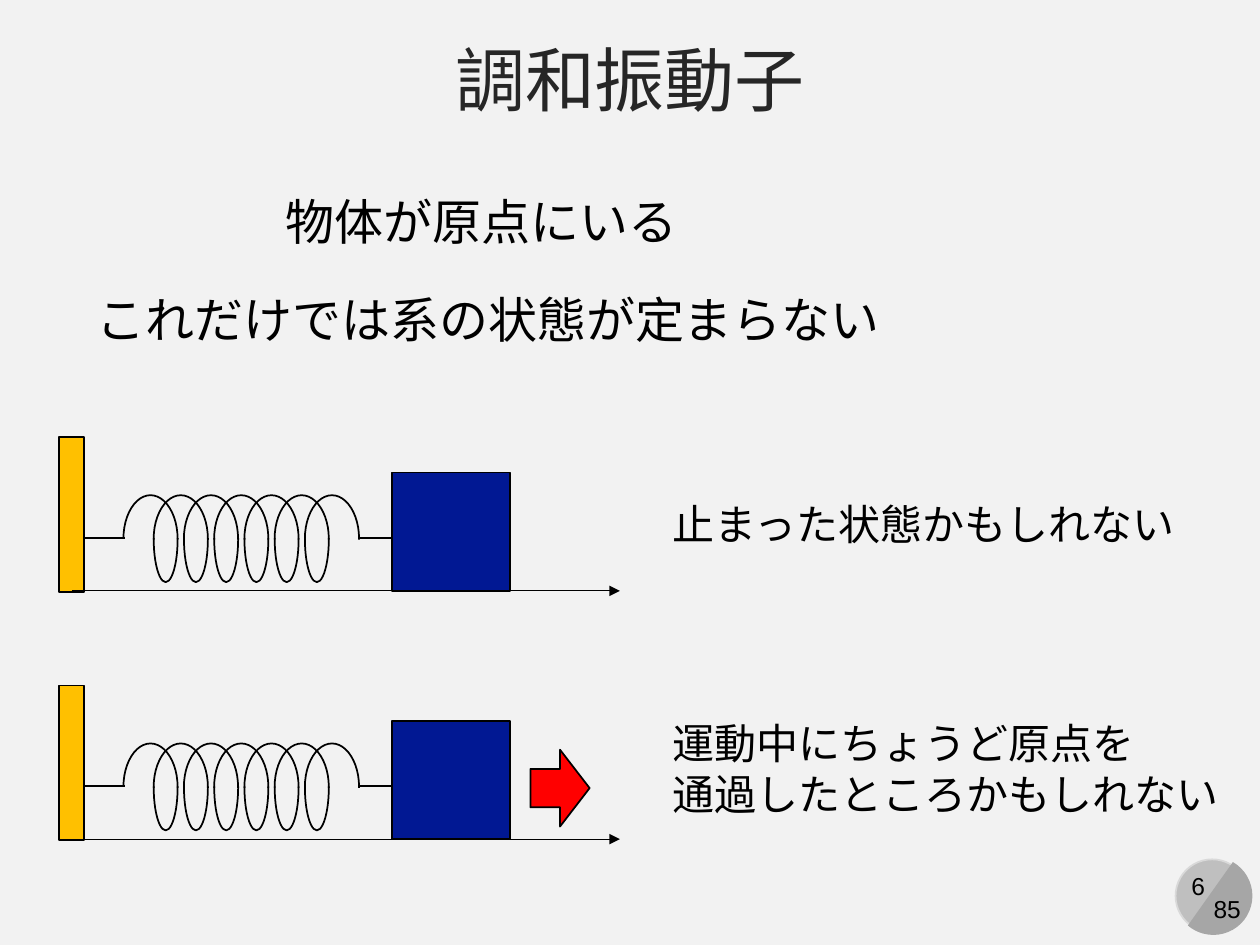
from lxml.etree import SubElement
from pptx import Presentation
from pptx.dml.color import RGBColor
from pptx.enum.shapes import MSO_CONNECTOR as Connector, MSO_SHAPE as Shape
from pptx.enum.text import MSO_ANCHOR as Anchor, PP_ALIGN as Align
from pptx.oxml.ns import qn
from pptx.util import Inches, Pt

COLORS = {
    "background": "F2F2F2",
    "title": "262626",
    "black": "000000",
    "wall": "FFC000",
    "block": "011893",
    "velocity": "FF0000",
    "badge": "BFBFBF",
    "badge_edge": "D9D9D9",
    "badge_shade": "A6A6A6",
}
COIL_COUNT = 7
COIL_PITCH = 0.24
COIL_LENGTH = 0.69


def color(name):
    return RGBColor.from_string(COLORS[name])


def add_figure(shapes, kind, box, fill=None, line="black", rotation=0, adjustments=()):
    shape = shapes.add_shape(kind, *map(Inches, box))
    shape.shadow.inherit = False
    shape.rotation = rotation
    for index, value in enumerate(adjustments):
        shape.adjustments[index] = value
    if fill:
        shape.fill.solid()
        shape.fill.fore_color.rgb = color(fill)
    else:
        shape.fill.background()
    if line:
        shape.line.color.rgb = color(line)
        shape.line.width = Pt(1)
    else:
        shape.line.fill.background()
    return shape


def add_line(shapes, start_x, end_x, y, width=1, arrow=False):
    connector = shapes.add_connector(
        Connector.STRAIGHT, Inches(start_x), Inches(y), Inches(end_x), Inches(y))
    connector.line.color.rgb = color("black")
    connector.line.width = Pt(width)
    if arrow:
        SubElement(connector.line._get_or_add_ln(), qn("a:tailEnd"), type="triangle")
    SubElement(connector._element.spPr, qn("a:effectLst"))


def add_text(slide, box, lines, size, name="black", align=Align.LEFT, wrap=False):
    frame = slide.shapes.add_textbox(*map(Inches, box)).text_frame
    for attribute, value in {"word_wrap": wrap, "vertical_anchor": Anchor.MIDDLE}.items():
        setattr(frame, attribute, value)
    for index, line in enumerate(lines):
        paragraph = frame.add_paragraph() if index else frame.paragraphs[0]
        paragraph.text = line
        paragraph.alignment = align
        for attribute, value in {"name": "Arial", "size": Pt(size)}.items():
            setattr(paragraph.font, attribute, value)
        paragraph.font.color.rgb = color(name)


def add_spring(slide, axis_y):
    shapes = slide.shapes.add_group_shape().shapes
    for index in range(COIL_COUNT):
        left = 0.85 + index * COIL_PITCH
        start = 160.7 if index else 162
        add_figure(shapes, Shape.ARC, (left, axis_y - 0.21, COIL_LENGTH, 0.43),
                   rotation=270, adjustments=(start, 55.15))
        if index < COIL_COUNT - 1:
            add_figure(shapes, Shape.ARC,
                       (left + COIL_PITCH / 2, axis_y - 0.09, COIL_LENGTH, 0.19),
                       rotation=90, adjustments=(160.7, 55.15))
    add_line(shapes, 0.99, 0.67, axis_y)
    add_line(shapes, 3.17, 2.85, axis_y)


def add_oscillator(slide, top):
    add_figure(slide.shapes, Shape.RECTANGLE, (0.47, top, 0.2, 1.23), "wall")
    add_spring(slide, top + 0.8)
    add_figure(slide.shapes, Shape.RECTANGLE, (3.11, top + 0.28, 0.94, 0.94), "block")
    add_line(slide.shapes, 0.57, 4.92, top + 1.22, width=0.5, arrow=True)


def add_page_badge(slide):
    add_figure(slide.shapes, Shape.OVAL, (9.33, 6.82, 0.58, 0.58), "badge", "badge_edge")
    add_text(slide, (9.29, 6.86, 0.44, 0.34), ["6"], 14, align=Align.CENTER)
    add_figure(slide.shapes, Shape.CHORD, (9.32, 6.8, 0.62, 0.62), "badge_shade", None,
               rotation=255, adjustments=(27, 141.42))
    add_text(slide, (9.53, 7.04, 0.42, 0.34), ["85"], 14, align=Align.CENTER)


def main():
    presentation = Presentation()
    presentation.slide_width, presentation.slide_height = Inches(10), Inches(7.5)
    slide = presentation.slides.add_slide(presentation.slide_layouts[6])
    slide.background.fill.solid()
    slide.background.fill.fore_color.rgb = color("background")

    add_page_badge(slide)
    add_text(slide, (0, 0.21, 10, 0.82), ["調和振動子"], 40, "title", Align.CENTER, True)
    add_text(slide, (2.17, 1.47, 3.34, 0.57), ["物体が原点にいる"], 28)
    add_text(slide, (0.67, 2.25, 6.48, 0.57), ["これだけでは系の状態が定まらない"], 28)

    for top in (3.47, 5.44):
        add_oscillator(slide, top)
    add_figure(slide.shapes, Shape.RIGHT_ARROW, (4.21, 5.95, 0.47, 0.61), "velocity")

    add_text(slide, (5.24, 3.91, 4.24, 0.5), ["止まった状態かもしれない"], 24)
    add_text(slide, (5.24, 5.64, 4.58, 0.91),
             ["運動中にちょうど原点を", "通過したところかもしれない"], 24)
    presentation.save("out.pptx")


if __name__ == "__main__":
    main()
